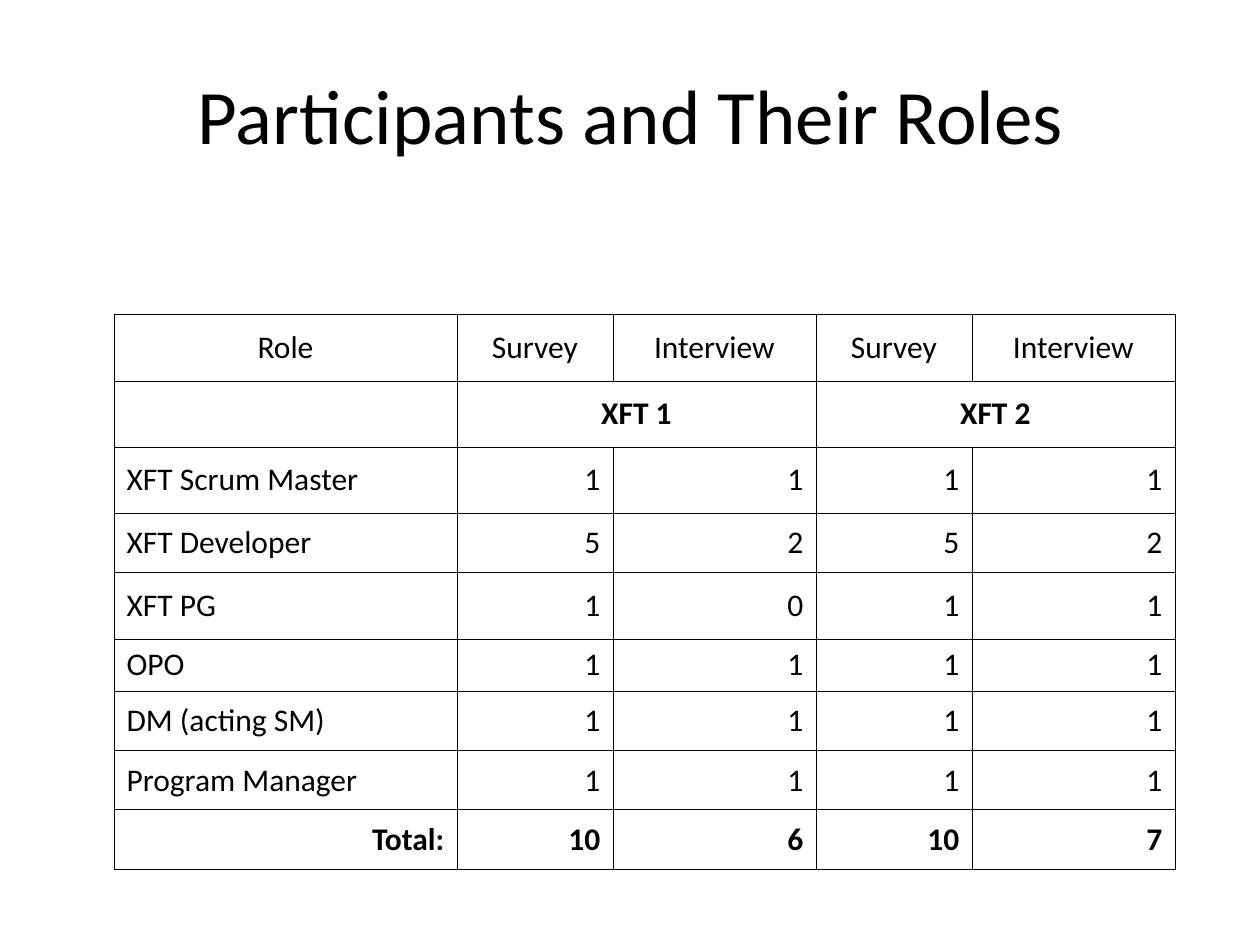
from lxml import etree
from pptx import Presentation
from pptx.dml.color import RGBColor
from pptx.enum.text import MSO_ANCHOR, PP_ALIGN
from pptx.oxml.ns import qn
from pptx.util import Emu, Pt

LEFT, CENTER, RIGHT = PP_ALIGN.LEFT, PP_ALIGN.CENTER, PP_ALIGN.RIGHT
MIDDLE = MSO_ANCHOR.MIDDLE
COLORS = {"text": "000000", "border": "000000"}
BORDER_WIDTH = Pt(0.45)


def px(length):
    return Emu(round(length * 914400 / 126))


def write(paragraph, text, align, size, bold=False):
    paragraph.alignment = align
    run = paragraph.add_run()
    run.text = text
    font_format = {"name": "Calibri", "size": Pt(size), "bold": bold}
    for attribute, value in font_format.items():
        setattr(run.font, attribute, value)
    run.font.color.rgb = RGBColor.from_string(COLORS["text"])


prs = Presentation()
prs.slide_width, prs.slide_height = px(1260), px(945)
slide = prs.slides.add_slide(prs.slide_layouts[5])

# Title
title = slide.shapes.title
title_box = {"left": px(64), "top": px(35), "width": px(1134), "height": px(158)}
for attribute, value in title_box.items():
    setattr(title, attribute, value)
title.text_frame.vertical_anchor = MIDDLE
write(title.text_frame.paragraphs[0], "Participants and Their Roles", CENTER, 44)

# Participant counts by role and team
roles = [
    ("Role", "Survey", "Interview", "Survey", "Interview"),
    ("", "XFT 1", "", "XFT 2", ""),
    ("XFT Scrum Master", 1, 1, 1, 1),
    ("XFT Developer", 5, 2, 5, 2),
    ("XFT PG", 1, 0, 1, 1),
    ("OPO", 1, 1, 1, 1),
    ("DM (acting SM)", 1, 1, 1, 1),
    ("Program Manager", 1, 1, 1, 1),
    ("Total:", 10, 6, 10, 7),
]
column_widths = [343, 156, 203, 156, 203]
row_heights = [67, 66, 66, 59, 67, 52, 60, 59, 60]
team_row, total_row = 1, len(roles) - 1

table = slide.shapes.add_table(
    len(row_heights), len(column_widths),
    px(114), px(314), px(sum(column_widths)), px(sum(row_heights)),
).table
table.first_row = table.horz_banding = False
for column, width in zip(table.columns, column_widths):
    column.width = px(width)
for row, height in zip(table.rows, row_heights):
    row.height = px(height)

# Team names span their survey and interview columns
for first in (1, 3):
    table.cell(team_row, first).merge(table.cell(team_row, first + 1))

for r, role in enumerate(roles):
    for c, entry in enumerate(role):
        cell = table.cell(r, c)
        cell.vertical_anchor = MIDDLE
        cell.fill.background()

        # Thin rule on every side, placed ahead of the fill
        properties = cell._tc.get_or_add_tcPr()
        for position, side in enumerate(("lnL", "lnR", "lnT", "lnB")):
            line = etree.Element(qn(f"a:{side}"), w=str(int(BORDER_WIDTH)))
            fill = etree.SubElement(line, qn("a:solidFill"))
            etree.SubElement(fill, qn("a:srgbClr"), val=COLORS["border"])
            properties.insert(position, line)

        if entry == "":
            continue
        if r <= team_row:
            align = CENTER
        elif c == 0 and r != total_row:
            align = LEFT
        else:
            align = RIGHT
        write(cell.text_frame.paragraphs[0], str(entry), align, 18,
              bold=r in (team_row, total_row))

prs.save("out.pptx")
